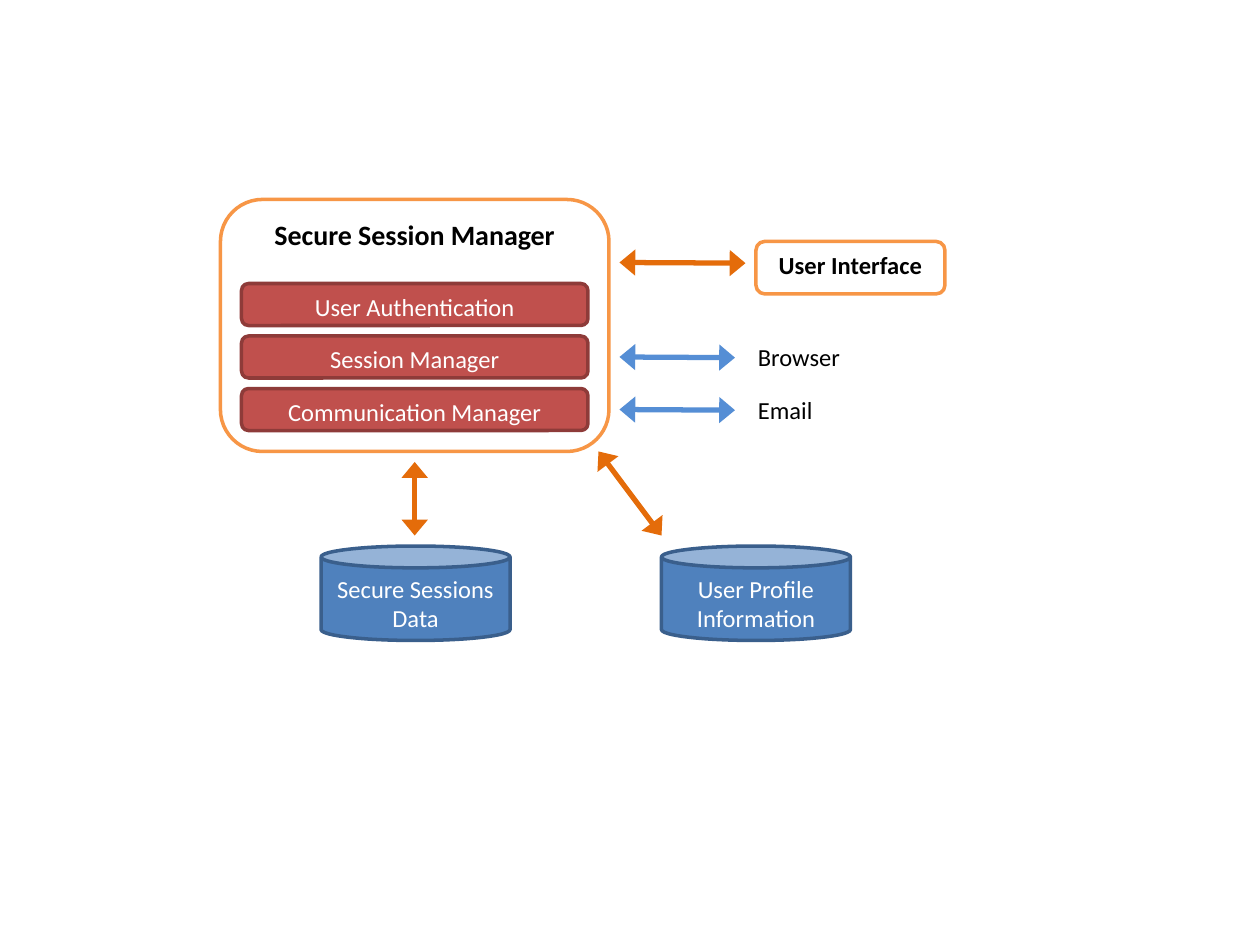
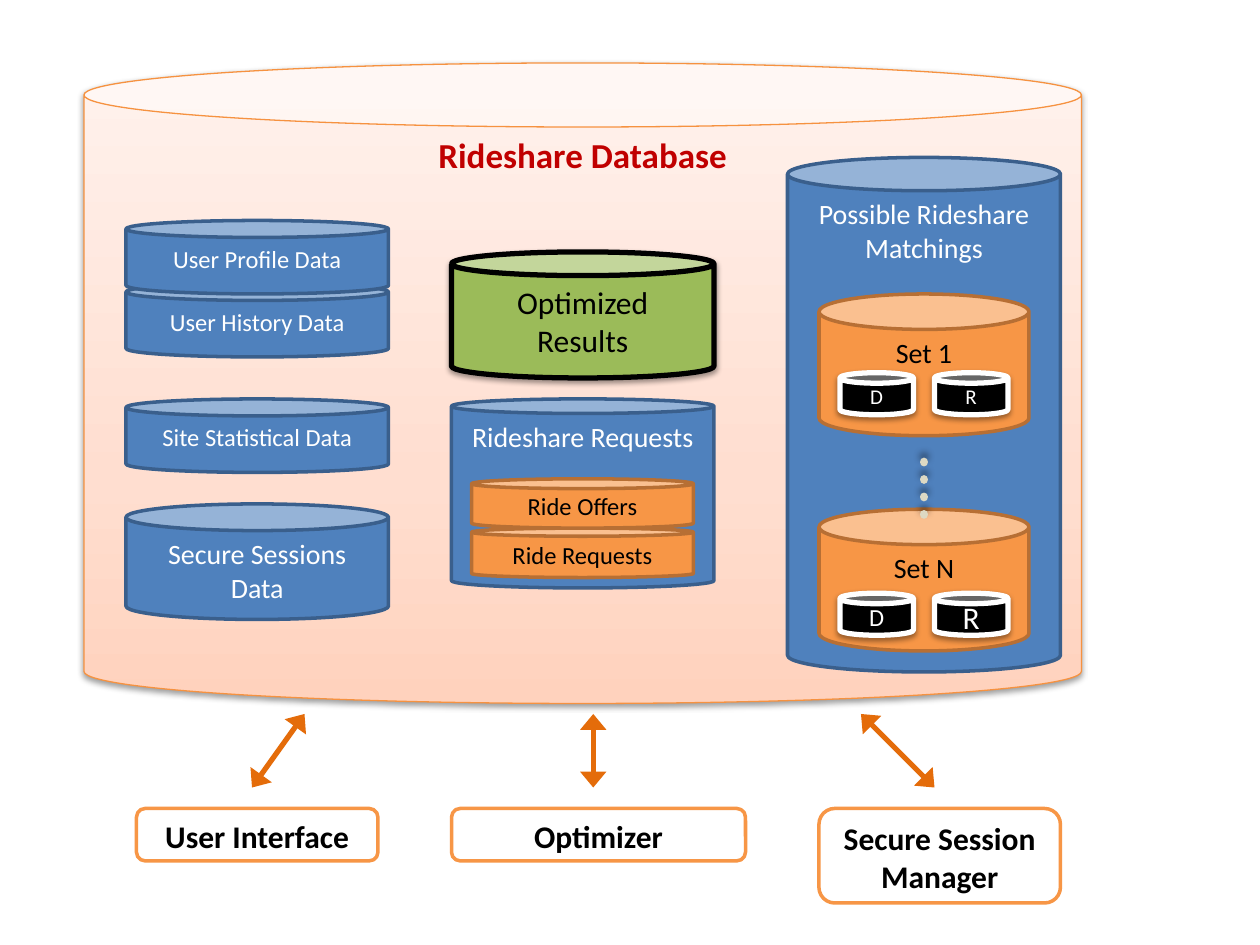
import copy

import lxml.etree
import pptx
import pptx.dml.color
import pptx.enum.dml
import pptx.enum.shapes
import pptx.enum.text
import pptx.oxml.ns
import pptx.util

Pt = pptx.util.Pt
RGBColor = pptx.dml.color.RGBColor
PRESET = pptx.enum.shapes.MSO_SHAPE
ALIGN = pptx.enum.text.PP_ALIGN
ANCHOR = pptx.enum.text.MSO_ANCHOR
qn = pptx.oxml.ns.qn

FONT = "Calibri"
BLACK = RGBColor(0x00, 0x00, 0x00)
WHITE = RGBColor(0xFF, 0xFF, 0xFF)
BLUE = RGBColor(0x4F, 0x81, 0xBD)
DARK_BLUE = RGBColor(0x3A, 0x5F, 0x8C)
ARROW_BLUE = RGBColor(0x55, 0x8E, 0xD5)
ORANGE = RGBColor(0xF7, 0x96, 0x46)
DARK_ORANGE = RGBColor(0xB7, 0x6F, 0x34)
ARROW_ORANGE = RGBColor(0xE4, 0x6C, 0x0A)
DATABASE_LINE = RGBColor(0xF6, 0x92, 0x40)
RED = RGBColor(0xC0, 0x50, 0x4D)
DARK_RED = RGBColor(0x8E, 0x3B, 0x39)
TITLE_RED = RGBColor(0xC0, 0x00, 0x00)
GREEN = RGBColor(0x9B, 0xBB, 0x59)
DOT_GREY = RGBColor(0xDD, 0xD9, 0xC3)
DATABASE_STOPS = [
    (0, RGBColor(0xFF, 0xD2, 0xBD)),
    (0.35, RGBColor(0xFF, 0xDE, 0xD0)),
    (1, RGBColor(0xFF, 0xF2, 0xED)),
]


def write(box, text, *, size, colour=BLACK, bold=False, align=ALIGN.CENTER, anchor=ANCHOR.TOP):
    frame = box.text_frame
    frame.text = text
    frame.vertical_anchor = anchor
    for para in frame.paragraphs:
        para.alignment = align
        for span in para.runs:
            span.font.name = FONT
            span.font.size = Pt(size)
            span.font.bold = bold
            span.font.color.rgb = colour


def add_shadow(effects, *, opacity=38, blur=3.1, distance=1.6, angle=90):
    shadow = lxml.etree.SubElement(
        effects, qn("a:outerShdw"), blurRad=str(Pt(blur)), dist=str(Pt(distance)),
        dir=str(angle * 60000), algn="ctr", rotWithShape="0")
    colour = lxml.etree.SubElement(shadow, qn("a:srgbClr"), val="000000")
    lxml.etree.SubElement(colour, qn("a:alpha"), val=str(opacity * 1000))


def add_box(shapes, preset, place, text, *, fill, line, weight=2, shadow=False, **text_format):
    box = shapes.add_shape(preset, *map(Pt, place))
    box.fill.solid()
    box.fill.fore_color.rgb = fill
    box.line.color.rgb = line
    box.line.width = Pt(weight)
    box.shadow.inherit = False
    if shadow:
        add_shadow(box._element.spPr.find(qn("a:effectLst")))
    write(box, text, **text_format)
    return box


def add_can(shapes, place, text, *, lid=0.231, fill=BLUE, line=DARK_BLUE, colour=WHITE, **style):
    can = add_box(shapes, PRESET.CAN, place, text, fill=fill, line=line, colour=colour, **style)
    can.adjustments[0] = lid
    return can


def add_orange_can(shapes, place, text, **style):
    add_can(shapes, place, text, fill=ORANGE, line=DARK_ORANGE, colour=BLACK, **style)


def add_component(shapes, place, text, size):
    add_box(shapes, PRESET.ROUNDED_RECTANGLE, place, text,
            fill=WHITE, line=ORANGE, size=size, bold=True)


def add_line(shapes, start, end, colour, weight):
    line = shapes.add_connector(
        pptx.enum.shapes.MSO_CONNECTOR.STRAIGHT, *map(Pt, start + end))
    line.line.color.rgb = colour
    line.line.width = Pt(weight)
    effects = lxml.etree.SubElement(line._element.spPr, qn("a:effectLst"))
    return line, effects


def add_arrow(shapes, start, end, colour=ARROW_ORANGE):
    arrow, _ = add_line(shapes, start, end, colour, 3)
    outline = arrow._element.spPr.find(qn("a:ln"))
    for tip in ("a:headEnd", "a:tailEnd"):
        lxml.etree.SubElement(outline, qn(tip), type="triangle", w="lg", len="med")


def add_dots(shapes, start, end):
    dots, effects = add_line(shapes, start, end, DOT_GREY, 5)
    dots.line.dash_style = pptx.enum.dml.MSO_LINE.ROUND_DOT
    dots._element.spPr.find(qn("a:ln")).set("cap", "rnd")
    add_shadow(effects, opacity=40, blur=4, distance=3, angle=270)


def add_label(shapes, place, text):
    label = shapes.add_textbox(*map(Pt, place))
    label.text_frame.word_wrap = False
    label.text_frame.auto_size = pptx.enum.text.MSO_AUTO_SIZE.SHAPE_TO_FIT_TEXT
    write(label, text, size=14, align=ALIGN.LEFT)


def shade(box, stops):
    box.fill.gradient()
    box.fill.gradient_angle = 90
    stop_list = box._element.spPr.find(".//" + qn("a:gsLst"))
    while len(stop_list) < len(stops):
        stop_list.append(copy.deepcopy(stop_list[-1]))
    for stop, (position, colour) in zip(box.fill.gradient_stops, stops):
        stop.position = position
        stop.color.rgb = colour


def add_matching_set(shapes, top, text, minis_top, driver_size, rider_size):
    add_orange_can(shapes, (468, top, 120, 81), text, lid=0.25, size=16)
    for left, letter, size in ((534, "R", rider_size), (480, "D", driver_size)):
        add_can(shapes, (left, minis_top, 42, 24), letter, lid=0.25, fill=BLACK, line=WHITE,
                weight=3, shadow=True, size=size, anchor=ANCHOR.MIDDLE)


def build_session_manager(page):
    shapes = page.shapes
    add_label(shapes, (426, 192, 62, 24.25), "Browser")
    add_label(shapes, (426, 222, 46, 24.25), "Email")
    add_component(shapes, (126, 114, 222, 144), "Secure Session Manager", 16)
    add_can(shapes, (378, 312, 108, 54), "User Profile Information", size=14)
    add_component(shapes, (432, 138, 108, 30), "User Interface", 14)
    add_arrow(shapes, (426, 150.4), (354, 150))
    for height in (204, 234):
        add_arrow(shapes, (420, height + 0.4), (354, height), ARROW_BLUE)
    add_arrow(shapes, (378, 306), (342, 258))
    add_can(shapes, (183.5, 312, 108, 54), "Secure Sessions\nData", size=14)
    add_arrow(shapes, (237, 306), (237, 264))
    modules = ("User Authentication", "Session Manager", "Communication Manager")
    for row, module in enumerate(modules):
        add_box(shapes, PRESET.ROUNDED_RECTANGLE, (138, 162 + 30 * row, 198, 24), module,
                fill=RED, line=DARK_RED, size=14, colour=WHITE)


def build_database(page):
    shapes = page.shapes
    database = add_can(shapes, (48, 36, 570, 366), "Rideshare Database", lid=0.1,
                       line=DATABASE_LINE, weight=0.75, shadow=True,
                       size=20, colour=TITLE_RED, bold=True)
    shade(database, DATABASE_STOPS)
    add_can(shapes, (258, 144, 150, 72), "Optimized\nResults", lid=0.188, fill=GREEN,
            line=BLACK, weight=3, shadow=True, size=18, colour=BLACK, anchor=ANCHOR.MIDDLE)

    requests = shapes.add_group_shape().shapes
    add_can(requests, (258, 228, 150, 108), "Rideshare Requests", lid=0.077, size=16)
    for top, lid, text in ((301.8, 0.164, "Ride Requests"), (273.6, 0.199, "Ride Offers")):
        add_orange_can(requests, (269.5, top, 126.75, 28.2), text, lid=lid, size=14,
                       anchor=ANCHOR.MIDDLE)

    add_can(shapes, (72, 288, 150, 66), "Secure Sessions\nData", size=16)
    clients = (
        ((78, 462, 138, 30), "User Interface", (144, 450), (174, 408)),
        ((258, 462, 168, 30), "Optimizer", (339, 450), (339, 408)),
        ((468, 462, 138, 54), "Secure Session Manager", (534, 450), (492, 408)),
    )
    for place, text, start, end in clients:
        add_component(shapes, place, text, 18)
        add_arrow(shapes, start, end)

    matchings = shapes.add_group_shape().shapes
    add_can(matchings, (450, 90, 156, 294), "Possible Rideshare Matchings", lid=0.122, size=16)
    add_matching_set(matchings, 168, "Set 1", 213, 12, 12)
    add_matching_set(matchings, 291, "Set N", 339, 14, 18)
    add_dots(matchings, (528, 264), (528, 294))

    for top, text in ((228, "Site Statistical Data"), (162, "User History Data"),
                      (126, "User Profile Data")):
        add_can(shapes, (72, top, 150, 42), text, size=14)


def main():
    deck = pptx.Presentation()
    deck.slide_width = Pt(720)
    deck.slide_height = Pt(540)
    blank = deck.slide_layouts[6]
    for build in (build_session_manager, build_database):
        build(deck.slides.add_slide(blank))
    deck.save("out.pptx")


if __name__ == "__main__":
    main()
